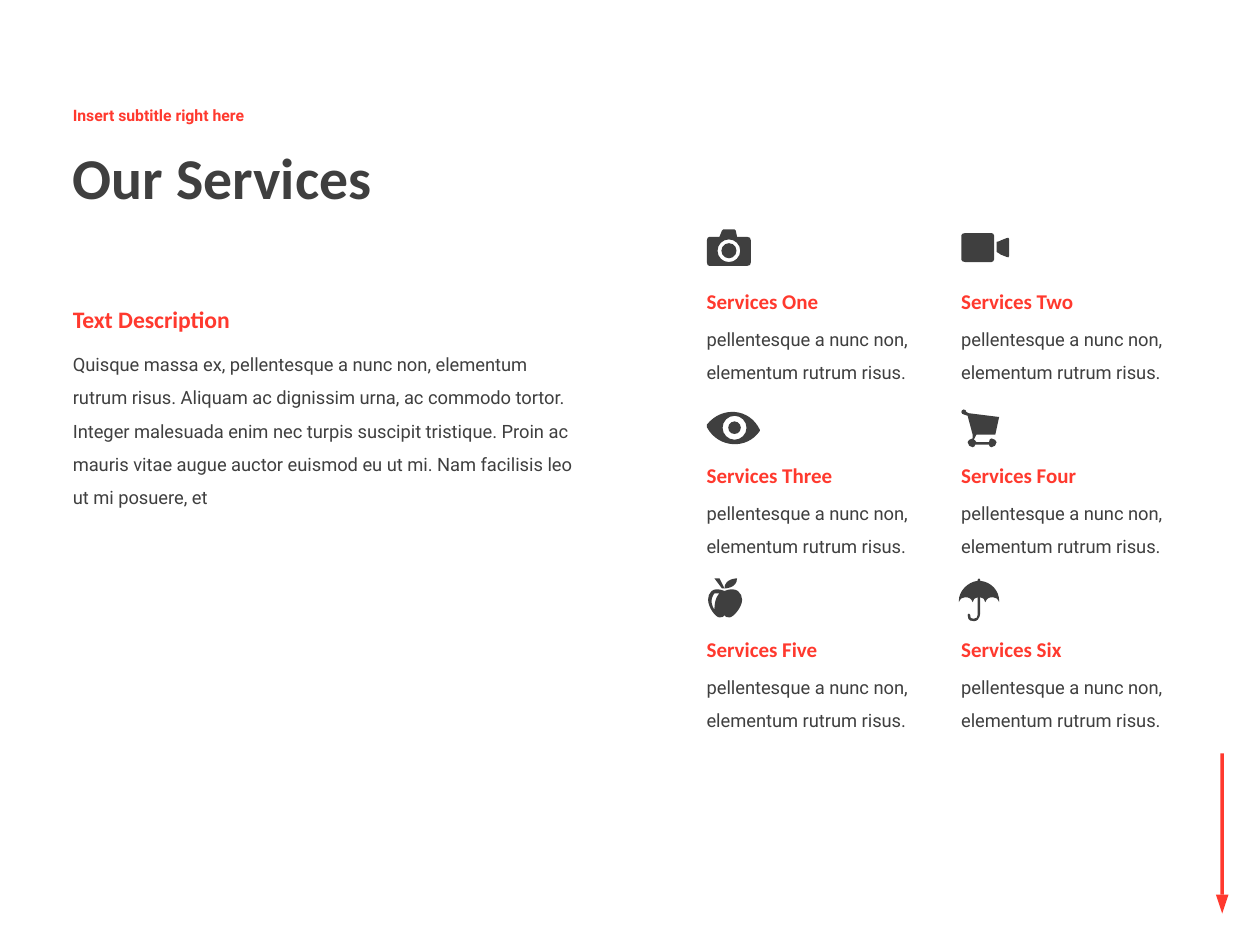
import pptx
import pptx.dml.color
import pptx.enum.shapes
import pptx.enum.text
import pptx.oxml
import pptx.oxml.ns
import pptx.util

Inches = pptx.util.Inches
MSO_SHAPE = pptx.enum.shapes.MSO_SHAPE
ANCHOR = pptx.enum.text.MSO_ANCHOR
AUTO_SIZE = pptx.enum.text.MSO_AUTO_SIZE
RED = pptx.dml.color.RGBColor(0xFF, 0x39, 0x2E)
CHARCOAL = pptx.dml.color.RGBColor(0x3F, 0x3F, 0x3F)
HEADING_FONT, BODY_FONT = "Calibri", "Roboto"

DESCRIPTION = (
    "Quisque massa ex, pellentesque a nunc non, elementum rutrum risus. "
    "Aliquam ac dignissim urna, ac commodo tortor. Integer malesuada enim nec "
    "turpis suscipit tristique. Proin ac mauris vitae augue auctor euismod eu "
    "ut mi. Nam facilisis leo ut mi posuere, et"
)
SERVICE_TEXT = "pellentesque a nunc non, elementum rutrum risus."


def circle(cx, cy, radius):
    """A circular contour made of four cubic curves."""
    contour = [(cx + radius, cy)]
    bend = 0.55
    for ux, uy in ((1, 0), (0, 1), (-1, 0), (0, -1)):
        vx, vy = -uy, ux
        contour.append((
            cx + radius * (ux + bend * vx), cy + radius * (uy + bend * vy),
            cx + radius * (vx + bend * ux), cy + radius * (vy + bend * uy),
            cx + radius * vx, cy + radius * vy))
    return contour


# An icon is (offset from its cell in inches, outlines, dot or None).
# An outline is a list of contours in hundredths of an inch; pairs are
# corners, and six numbers are a cubic curve from the point before.
CAMERA = (0.10, -0.42), [[
    [(32, 6), (24, 6), (23, 1), (23, 0, 23, 0, 22, 0), (13, 0),
     (12, 0, 12, 0, 12, 1), (10, 6), (2, 6), (1, 6, 0, 7, 0, 9), (0, 26),
     (0, 28, 1, 29, 2, 29), (32, 29), (34, 29, 35, 28, 35, 26), (35, 9),
     (35, 7, 34, 6, 32, 6)],
    circle(17.5, 17, 9),
]], (17.5, 17, 6)
VIDEO = (0.10, -0.39), [
    [[(24, 0), (3, 0), (1, 0, 0, 1, 0, 2), (0, 21), (0, 22, 1, 23, 3, 23),
      (24, 23), (25, 23, 26, 22, 26, 21), (26, 2), (26, 1, 25, 0, 24, 0)]],
    [[(36, 4), (31, 6), (31, 6, 30, 7, 28, 7), (28, 15),
      (30, 16, 31, 17, 31, 17), (36, 19), (37, 20, 38, 19, 38, 18), (38, 5),
      (38, 4, 37, 3, 36, 4)]],
], None
EYE = (0.10, -0.40), [[
    [(0, 15), (0, 17), (9, 34, 32, 35, 42, 20), (42, 19), (34, 2, 12, 0, 0, 15)],
    circle(22, 17.5, 9.5),
]], (22, 17.5, 5)
CART = (0.10, -0.37), [[
    [(24, 23), (23, 23, 22, 24, 22, 26), (12, 26), (11, 25, 11, 24, 10, 24),
     (12, 20), (27, 20), (30, 6), (6, 3), (4, 2), (4, 1, 3, 0, 2, 0),
     (1, 0, 0, 1, 0, 2), (0, 3, 1, 4, 2, 4), (5, 5), (9, 20), (9, 23),
     (7, 23, 5, 25, 5, 26), (5, 28, 7, 30, 9, 30), (10, 30, 11, 29, 11, 28),
     (22, 28), (22, 29, 23, 30, 24, 30), (26, 30, 28, 28, 28, 26),
     (28, 25, 26, 23, 24, 23)],
]], None
APPLE = (0.11, -0.41), [
    [[(13, 10), (3, 6, 0, 12, 0, 17), (0, 23, 6, 31, 9, 31),
      (13, 31, 13, 29, 13, 29), (13, 29, 13, 31, 17, 31),
      (20, 31, 27, 23, 27, 17), (27, 12, 23, 6, 13, 10)],
     [(5, 25), (0, 17, 5, 12, 5, 12), (9, 12), (9, 12, 5, 15, 5, 25)]],
    [[(13, 8), (11, 4, 9, 0, 9, 0), (5, 0), (11, 8)]],
    [[(23, 0), (23, 0, 13, 0, 13, 8), (13, 8, 23, 8, 23, 0)]],
], None
UMBRELLA = (0.08, -0.41), [[
    [(17, 2), (17, 1), (17, 1, 17, 0, 16, 0), (16, 0, 15, 1, 15, 1), (15, 2),
     (7, 3, 0, 10, 0, 18), (0, 19), (1, 16, 3, 15, 5, 15),
     (8, 15, 10, 16, 11, 19), (11, 17, 13, 15, 15, 15), (15, 26),
     (15, 32, 14, 32, 12, 32), (9, 32, 9, 31, 9, 29), (9, 28, 8, 28, 8, 28),
     (7, 28, 7, 28, 7, 29), (7, 31, 7, 34, 12, 34), (14, 34, 17, 33, 17, 26),
     (17, 15), (19, 15, 21, 17, 21, 19), (22, 16, 24, 15, 27, 15),
     (29, 15, 31, 16, 32, 19), (32, 18), (32, 10, 26, 3, 17, 2)],
]], None

SERVICES = [
    ("Services One", CAMERA), ("Services Two", VIDEO),
    ("Services Three", EYE), ("Services Four", CART),
    ("Services Five", APPLE), ("Services Six", UMBRELLA),
]


def contour_points(contour):
    """Every corner and curve handle of a contour, in slide units."""
    return [(Inches(part[i] / 100), Inches(part[i + 1] / 100))
            for part in contour for i in range(0, len(part), 2)]


def bend_curves(outline_shape, contours):
    """Join each curve's three line segments into one cubic segment."""
    qn = pptx.oxml.ns.qn
    segments = iter(list(outline_shape._element.iter(qn("a:lnTo"))))
    for part in (part for contour in contours for part in contour[1:]):
        first = next(segments)
        if len(part) == 2:
            continue
        curve = first.makeelement(qn("a:cubicBezTo"))
        first.addprevious(curve)
        for segment in (first, next(segments), next(segments)):
            curve.append(segment[0])
            segment.getparent().remove(segment)


def paint(shape, color):
    shape.shadow.inherit = False
    shape.fill.solid()
    shape.fill.fore_color.rgb = color
    shape.line.fill.background()


def add_preset(slide, preset, left, top, width, height, color):
    shape = slide.shapes.add_shape(
        preset, Inches(left), Inches(top), Inches(width), Inches(height))
    paint(shape, color)
    return shape


def add_text(slide, text, left, top, width, height, size, font, color,
             bold=False, spacing=1.0, anchor=ANCHOR.TOP, grow=True):
    box = slide.shapes.add_textbox(
        Inches(left), Inches(top), Inches(width), Inches(height))
    frame = box.text_frame
    frame.word_wrap = True
    frame.auto_size = AUTO_SIZE.SHAPE_TO_FIT_TEXT if grow else AUTO_SIZE.NONE
    frame.vertical_anchor = anchor
    frame.text = text
    paragraph = frame.paragraphs[0]
    paragraph.line_spacing = spacing
    run_font = paragraph.runs[0].font
    run_font.name, run_font.size, run_font.bold = font, pptx.util.Pt(size), bold
    run_font.color.rgb = color


def add_icon(slide, icon, cell_left, cell_top):
    (dx, dy), outlines, dot = icon
    left, top = cell_left + dx, cell_top + dy
    for contours in outlines:
        body, *holes = map(contour_points, contours)
        builder = slide.shapes.build_freeform(*body[0])
        builder.add_line_segments(body[1:], close=True)
        for hole in holes:
            builder.move_to(*hole[0])
            builder.add_line_segments(hole[1:], close=True)
        outline_shape = builder.convert_to_shape(Inches(left), Inches(top))
        bend_curves(outline_shape, contours)
        paint(outline_shape, CHARCOAL)
    if dot:
        cx, cy, radius = (value / 100 for value in dot)
        add_preset(slide, MSO_SHAPE.OVAL, left + cx - radius, top + cy - radius,
                   2 * radius, 2 * radius, CHARCOAL)


def add_heading(slide, left, top, width):
    add_text(slide, "Our Services", left, top + 0.19, width, 1.03, 33, HEADING_FONT,
             CHARCOAL, True, 0.9, ANCHOR.MIDDLE, grow=False)
    add_text(slide, "Insert subtitle right here", left, top, width, 0.38, 9, BODY_FONT,
             RED, True, 0.9, ANCHOR.MIDDLE, grow=False)


def add_description(slide, left, top, width):
    add_text(slide, DESCRIPTION, left, top + 0.3, width, 1.13, 10.5,
             BODY_FONT, CHARCOAL, spacing=1.5)
    add_text(slide, "Text Description", left, top, 2.19, 0.33, 13.5,
             HEADING_FONT, RED, True)


def add_services(slide, left, top, column_step, row_step):
    for index, (name, icon) in enumerate(SERVICES):
        row, column = divmod(index, 2)
        x, y = left + column * column_step, top + row * row_step
        add_icon(slide, icon, x, y)
        add_text(slide, SERVICE_TEXT, x, y + 0.23, 1.93, 0.6, 10.5,
                 BODY_FONT, CHARCOAL, spacing=1.5)
        add_text(slide, name, x, y, 1.62, 0.3, 12, HEADING_FONT, RED, True)


def add_down_arrow(slide, center, top, height):
    head_height = 0.15
    shaft_height = height - head_height
    add_preset(slide, MSO_SHAPE.RECTANGLE, center - 0.015, top, 0.03, shaft_height, RED)
    head = add_preset(slide, MSO_SHAPE.ISOSCELES_TRIANGLE, center - 0.05,
                      top + shaft_height, 0.1, head_height, RED)
    head.rotation = 180


def main():
    deck = pptx.Presentation()
    deck.slide_width, deck.slide_height = Inches(10), Inches(7.5)
    slide = deck.slides.add_slide(deck.slide_layouts[6])
    add_down_arrow(slide, 9.7, 5.98, 1.27)
    add_heading(slide, 0.48, 0.73, 5.63)
    add_description(slide, 0.48, 2.37, 4.24)
    add_services(slide, 5.51, 2.24, 2.02, 1.38)
    deck.save("out.pptx")


if __name__ == "__main__":
    main()
